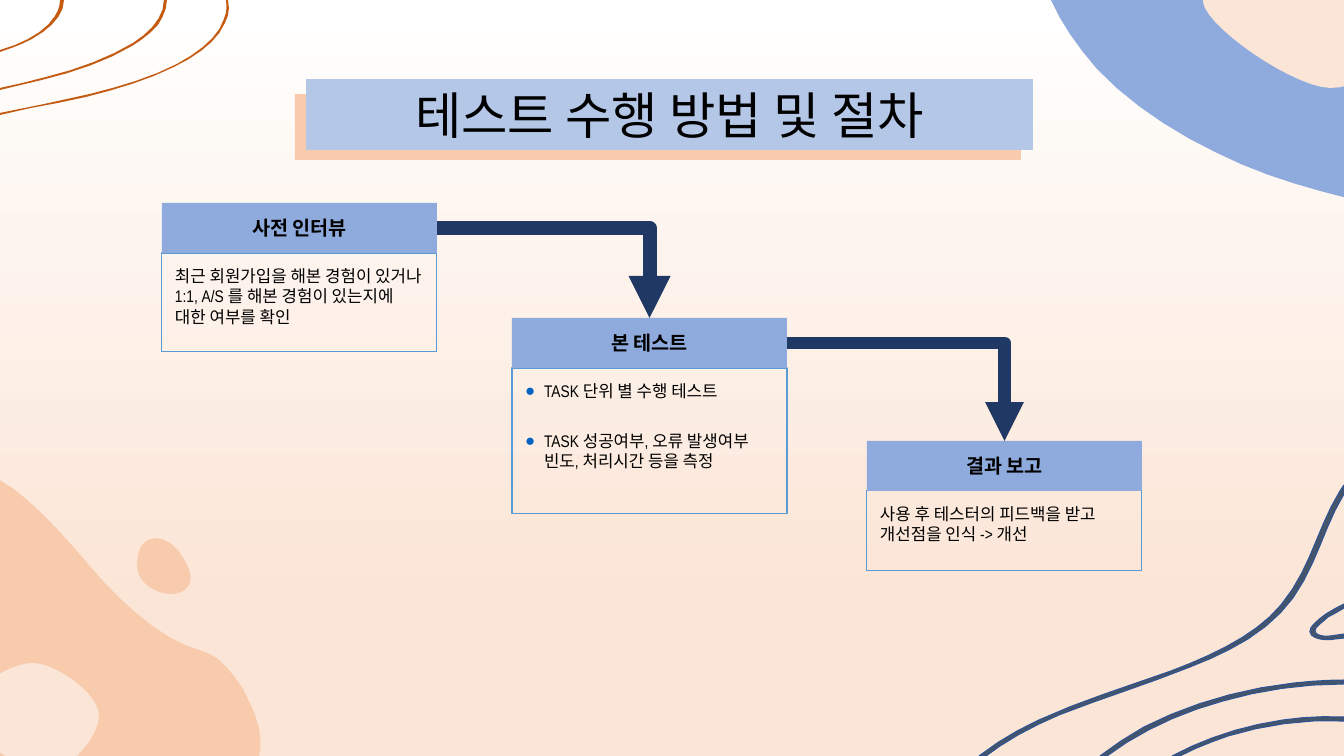
from dataclasses import dataclass
from math import ceil, hypot, sqrt
from typing import NamedTuple

from lxml.etree import SubElement
from pptx import Presentation
from pptx.dml.color import RGBColor
from pptx.enum.shapes import MSO_CONNECTOR as Connector, MSO_SHAPE as Shape
from pptx.enum.text import MSO_ANCHOR as Anchor, MSO_AUTO_SIZE as AutoSize, PP_ALIGN as Align
from pptx.oxml.ns import qn
from pptx.util import Emu, Pt

SCALE = 914400 / 100.8  # EMU in one px


def px(length):
    return Emu(round(length * SCALE))


@dataclass(frozen=True)
class Theme:
    white: str = "FFFFFF"
    black: str = "000000"
    cream: str = "FBE5D6"
    peach: str = "F8CBAD"
    blue: str = "8FAADC"
    pale_blue: str = "B4C7E7"
    box_line: str = "5B9BD5"
    bullet: str = "0563C1"
    navy: str = "203864"
    slate: str = "44546A"
    wave_line: str = "2F5597"
    rust: str = "C55A11"
    title_font: str = "Noto Sans CJK KR"
    header_font: str = "Arial"
    body_font: str = "Arial Narrow"
    title_size: int = 36
    header_size: int = 14
    body_size: int = 12


THEME = Theme()


class Box(NamedTuple):
    left: int
    top: int
    width: int
    height: int


# Outlines: a start point, then curves (six numbers) or straight lines (two)
PEACH_BLOB = [(-47, 473), (-76, 531), (-62, 669), (-20, 774), (83, 860), (198, 845),
              (226, 832, 249, 805, 259, 757), (261, 747, 262, 734, 255, 715),
              (252, 706, 247, 698, 243, 689), (235, 676, 226, 666, 218, 659),
              (211, 654, 205, 652, 199, 650), (170, 642, 137, 618, 101, 579),
              (76, 550, 50, 519, 25, 498), (-6, 472, -30, 465, -47, 473)]
BLUE_BLOB = [(1474, 183), (1480, 149), (1409, 72), (1356, 1), (1316, -90), (1241, -158),
             (1179, -200, 1116, -187, 1087, -164), (1042, -106), (1032, -77, 1033, -39, 1051, 0),
             (1061, 23, 1077, 46, 1097, 69), (1128, 102, 1171, 131, 1215, 152),
             (1258, 174, 1303, 187, 1347, 198), (1383, 207, 1421, 212, 1447, 203), (1474, 183)]
WAVES = [
    [(1100, 756), (1113, 746, 1128, 736, 1144, 727), (1187, 705, 1239, 689, 1294, 683),
     (1313, 681, 1329, 680, 1344, 680), (1344, 684), (1302, 684, 1261, 690, 1223, 701),
     (1179, 713, 1139, 732, 1107, 756)],
    [(1172, 756), (1204, 739, 1241, 726, 1283, 720), (1303, 717, 1323, 716, 1344, 717),
     (1344, 721), (1304, 719, 1264, 725, 1228, 736), (1211, 742, 1195, 748, 1180, 756)],
    [(1310, 631), (1310, 628, 1313, 625, 1315, 623), (1319, 619, 1322, 617, 1326, 614),
     (1332, 610, 1338, 607, 1344, 604), (1344, 608), (1339, 611, 1334, 614, 1328, 617),
     (1324, 621, 1319, 624, 1316, 628), (1315, 631),
     (1315, 635, 1323, 637, 1330, 636), (1344, 634), (1344, 638),
     (1335, 639), (1326, 641, 1311, 639, 1310, 632)],
    [(979, 756), (997, 742, 1017, 730, 1039, 720), (1080, 701, 1126, 687, 1171, 671),
     (1216, 654, 1257, 634, 1281, 605), (1311, 569, 1317, 528, 1340, 491),
     (1344, 485), (1344, 494), (1324, 527, 1317, 564, 1293, 598),
     (1282, 613, 1267, 627, 1248, 639), (1230, 650, 1211, 659, 1190, 667),
     (1148, 684, 1102, 698, 1059, 715), (1038, 724, 1018, 734, 1000, 746), (986, 756)]]
ARCS = [
    [(0, 90), (14, 87, 28, 83, 42, 80), (75, 72, 107, 61, 132, 46), (142, 40, 151, 33, 158, 25),
     (163, 17, 167, 9, 167, 0), (164, 0), (164, 16, 152, 31, 133, 43),
     (110, 57, 79, 69, 46, 77), (31, 81, 15, 85, 0, 88)],
    [(0, 115), (10, 113, 21, 110, 31, 108), (49, 105, 68, 101, 86, 97),
     (118, 89, 148, 80, 174, 67), (199, 55, 218, 40, 225, 23), (229, 16, 230, 8, 228, 0),
     (226, 0), (227, 6, 227, 13, 224, 19), (219, 36, 201, 51, 177, 64),
     (152, 77, 122, 86, 90, 94), (60, 101, 30, 107, 0, 113)],
    [(0, 52), (12, 48, 23, 44, 32, 39), (52, 28, 64, 14, 64, 0), (60, 0),
     (60, 6, 58, 11, 55, 16), (46, 31, 25, 43, 0, 50)]]
TOP_PEBBLE = [(1203, 2), (1201, -23, 1277, -65, 1313, -64), (1350, -61, 1421, -22, 1421, 9),
              (1421, 39, 1366, 90, 1330, 88), (1293, 87, 1206, 27, 1203, 2)]
BOTTOM_PEBBLE = [(-35, 711), (-37, 693, 10, 662, 33, 663), (55, 663, 99, 693, 99, 716),
                 (99, 738, 65, 775, 42, 774), (20, 773, -34, 729, -35, 711)]
DROP = [(156, 538), (166, 538, 177, 546, 184, 559), (199, 583, 186, 594, 171, 594),
        (156, 594, 137, 583, 137, 565), (137, 547, 145, 538, 156, 538)]


def paint(shape, fill=None, line=None):
    shape.shadow.inherit = False
    if fill:
        shape.fill.solid()
        shape.fill.fore_color.rgb = RGBColor.from_string(fill)
    else:
        shape.fill.background()
    if line:
        shape.line.color.rgb = RGBColor.from_string(line)
        shape.line.width = Pt(0.75)
    else:
        shape.line.fill.background()


def place(shape, box):
    shape.left, shape.top, shape.width, shape.height = map(px, box)


def add_rect(slide, box):
    return slide.shapes.add_shape(Shape.RECTANGLE, *map(px, box))


def flatten(a, b, c, d, tolerance=0.4):
    """Divide a cubic curve into as few steps as the tolerance in px allows."""
    bend = max(hypot(p[0] - 2 * q[0] + r[0], p[1] - 2 * q[1] + r[1])
               for p, q, r in ((a, b, c), (b, c, d)))
    steps = max(1, ceil(sqrt(0.75 * bend / tolerance)))
    for t in (step / steps for step in range(1, steps + 1)):
        weights = (1 - t) ** 3, 3 * t * (1 - t) ** 2, 3 * t * t * (1 - t), t ** 3
        yield tuple(sum(w * corner[axis] for w, corner in zip(weights, (a, b, c, d)))
                    for axis in (0, 1))


def add_outline(slide, outline, fill, line=None):
    points = [outline[0]]
    for part in outline[1:]:
        if len(part) == 6:
            points.extend(flatten(points[-1], part[:2], part[2:4], part[4:]))
        else:
            points.append(part)
    start, *rest = [(px(x), px(y)) for x, y in points]
    builder = slide.shapes.build_freeform(*start)
    builder.add_line_segments(rest, close=True)
    paint(builder.convert_to_shape(), fill, line)


def add_bullet(paragraph):
    properties = paragraph._p.get_or_add_pPr()
    properties.set("marL", str(px(19)))
    properties.set("indent", str(px(-19)))
    color = SubElement(properties, qn("a:buClr"))
    SubElement(color, qn("a:srgbClr")).set("val", THEME.bullet)
    SubElement(properties, qn("a:buChar")).set("char", "●")


def write(shape, texts, font, size, bold=False, align=Align.LEFT, anchor=Anchor.MIDDLE,
          inset=13, after=0, bullets=False):
    frame = shape.text_frame
    frame.word_wrap = True
    frame.auto_size = AutoSize.NONE
    frame.vertical_anchor = anchor
    frame.margin_left = frame.margin_right = frame.margin_top = frame.margin_bottom = px(inset)
    for index, text in enumerate(texts):
        paragraph = frame.add_paragraph() if index else frame.paragraphs[0]
        if bullets:
            add_bullet(paragraph)
        paragraph.alignment = align
        paragraph.space_before, paragraph.space_after = Pt(0), Pt(after)
        run = paragraph.add_run()
        run.text = text
        run.font.name, run.font.size, run.font.bold = font, Pt(size), bold
        run.font.color.rgb = RGBColor.from_string(THEME.black)


def bring_to_front(shape):
    shape.element.getparent().append(shape.element)


def add_background(slide):
    fill = slide.background.fill
    fill.gradient()
    fill.gradient_angle = 270
    for stop, color, position in zip(fill.gradient_stops, (THEME.white, THEME.cream), (0, 0.8)):
        stop.color.rgb = RGBColor.from_string(color)
        stop.position = position


def add_decoration(slide):
    add_outline(slide, PEACH_BLOB, THEME.peach)
    add_outline(slide, BLUE_BLOB, THEME.blue)
    for wave in WAVES:
        add_outline(slide, wave, THEME.slate, THEME.wave_line)
    for arc in ARCS:
        add_outline(slide, arc, THEME.rust)
    for pebble in (TOP_PEBBLE, BOTTOM_PEBBLE):
        add_outline(slide, pebble, THEME.cream)
    add_outline(slide, DROP, THEME.peach)


def add_title(slide, box, text):
    backing = add_rect(slide, Box(box.left - 11, box.top + 15, box.width - 1, box.height - 5))
    paint(backing, THEME.peach)
    title = slide.shapes.title
    bring_to_front(title)
    place(title, box)
    paint(title, THEME.pale_blue)
    write(title, [text], THEME.title_font, THEME.title_size, align=Align.CENTER, inset=5)


def add_step(slide, box, heading, texts, list_holder=None):
    """Draw a step card and return its header, where the arrows join."""
    header_height = 50
    body_box = Box(box.left, box.top + header_height, box.width, box.height - header_height)
    if list_holder is None:
        body = add_rect(slide, body_box)
    else:
        body = list_holder
        bring_to_front(body)
        place(body, body_box)
    paint(body, line=THEME.box_line)
    write(body, texts, THEME.body_font, THEME.body_size, anchor=Anchor.TOP, after=21.3,
          bullets=list_holder is not None)
    header = add_rect(slide, box._replace(height=header_height))
    paint(header, THEME.blue)
    write(header, [heading], THEME.header_font, THEME.header_size, bold=True, align=Align.CENTER)
    return header


def add_arrow(slide, source, target, width):
    arrow = slide.shapes.add_connector(Connector.ELBOW, 0, 0, 0, 0)
    arrow.begin_connect(source, 3)
    arrow.end_connect(target, 0)
    properties = arrow.element.spPr
    properties.find(qn("a:prstGeom")).set("prst", "bentConnector2")  # one corner only
    arrow.line.color.rgb = RGBColor.from_string(THEME.navy)
    arrow.line.width = Pt(width)
    SubElement(properties.find(qn("a:ln")), qn("a:tailEnd")).set("type", "triangle")
    SubElement(properties, qn("a:effectLst"))


def main():
    deck = Presentation()
    deck.slide_width, deck.slide_height = px(1344), px(756)
    slide = deck.slides.add_slide(deck.slide_layouts[1])
    add_background(slide)
    add_decoration(slide)
    add_title(slide, Box(306, 79, 727, 71), "테스트 수행 방법 및 절차")

    # Three steps, joined by arrows
    interview = add_step(slide, Box(162, 203, 275, 149), "사전 인터뷰", [
        "최근 회원가입을 해본 경험이 있거나 1:1, A/S 를 해본 경험이 있는지에 대한 여부를 확인"])
    main_test = add_step(slide, Box(512, 318, 275, 196), "본 테스트", [
        "TASK 단위 별 수행 테스트",
        "TASK 성공여부, 오류 발생여부 빈도, 처리시간 등을 측정"], slide.placeholders[1])
    report = add_step(slide, Box(867, 441, 275, 130), "결과 보고", [
        "사용 후 테스터의 피드백을 받고 개선점을 인식 -> 개선"])
    add_arrow(slide, interview, main_test, 10)
    add_arrow(slide, main_test, report, 9.25)
    deck.save("out.pptx")


if __name__ == "__main__":
    main()
